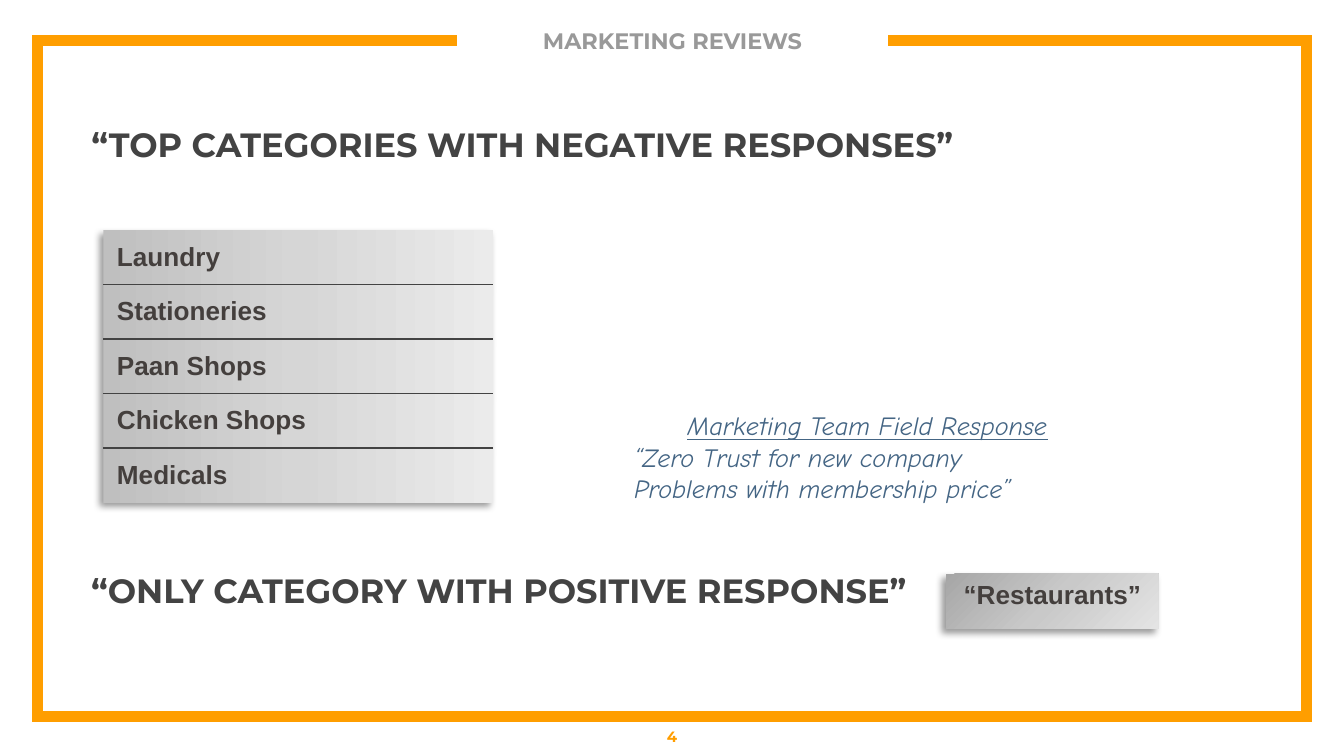
"""Build the marketing reviews slide with its category tables and field response."""
import lxml.etree
import pptx
import pptx.dml.color
import pptx.enum.text
import pptx.oxml
import pptx.oxml.ns
import pptx.util

ALIGN = pptx.enum.text.PP_ALIGN
ANCHOR = pptx.enum.text.MSO_ANCHOR
Inches = pptx.util.Inches

THEME = {
    "frame": "FF9E00",
    "rule": "434343",
    "heading": dict(name="Montserrat", size=18, color="434343", bold=True),
    "title": dict(name="Montserrat", size=12, color="999999", bold=True),
    "number": dict(name="Montserrat", size=8, color="FF9E00", bold=True),
    "cell": dict(name="Arial", size=14, color="443F3D", bold=True),
    "quote": dict(name="Comic Neue", size=14, color="446584", bold=False, italic=True),
}
WIDTH = 10
HEIGHT = WIDTH * 9 / 16
TITLE = "MARKETING REVIEWS"
NEGATIVE = "“TOP CATEGORIES WITH NEGATIVE RESPONSES”"
POSITIVE = "“ONLY CATEGORY WITH POSITIVE RESPONSE”"
RESPONSE = ["Marketing Team Field Response", "“Zero Trust for new company",
            "Problems with membership price”"]
FRAME = [(3.4, 0.3), (0.28, 0.3), (0.28, 5.33), (9.72, 5.33), (9.72, 0.3), (6.61, 0.3)]
TABLES = [
    dict(rows=["Laundry", "Stationeries", "Paan Shops", "Chicken Shops", "Medicals"],
         box=(0.77, 1.71, 2.9, 2.03), stops=["BFBFBF", "D6D6D6", "EBEBEB"], angle=0,
         align=ALIGN.LEFT, anchor=ANCHOR.MIDDLE),
    dict(rows=["“Restaurants”"], box=(7.04, 4.27, 1.58, 0.41),
         stops=["A6A6A6", "C9C9C9", "E4E4E4"], angle=45,
         align=ALIGN.CENTER, anchor=ANCHOR.TOP),
]


def rgb(value):
    """Return a colour from its hex form."""
    return pptx.dml.color.RGBColor.from_string(value)


def xml(body):
    """Parse a DrawingML fragment."""
    head, tail = body.split(" ", 1)
    return pptx.oxml.parse_xml(f"{head} {pptx.oxml.ns.nsdecls('a')} {tail}")


def write(tf, lines, style, align=ALIGN.LEFT, before=0):
    """Fill a text frame with one styled paragraph per line."""
    for i, line in enumerate(lines):
        p = tf.paragraphs[0] if i == 0 else tf.add_paragraph()
        p.alignment, p.space_before = align, pptx.util.Pt(before)
        r = p.add_run()
        r.text = line
        for key, value in style.items():
            if key == "color":
                r.font.color.rgb = rgb(value)
            else:
                setattr(r.font, key, pptx.util.Pt(value) if key == "size" else value)


def setup(sp, box, inset=(0.1, 0.1), anchor=ANCHOR.TOP):
    """Place a text shape and return its text frame."""
    for key, value in zip(("left", "top", "width", "height"), box):
        setattr(sp, key, Inches(value))
    tf = sp.text_frame
    x, y = map(Inches, inset)
    form = dict(word_wrap=True, auto_size=pptx.enum.text.MSO_AUTO_SIZE.NONE,
                vertical_anchor=anchor, margin_left=x, margin_right=x,
                margin_top=y, margin_bottom=y)
    for key, value in form.items():
        setattr(tf, key, value)
    return tf


def add_frame(slide):
    """Draw the open border."""
    points = [(Inches(x), Inches(y)) for x, y in FRAME]
    builder = slide.shapes.build_freeform(*points[0])
    builder.add_line_segments(points[1:], close=False)
    sp = builder.convert_to_shape()
    sp.shadow.inherit = False
    sp.fill.background()
    sp.line.color.rgb = rgb(THEME["frame"])
    sp.line.width = pptx.util.Pt(6)
    sp.line._get_or_add_ln().append(xml('<a:miter lim="800000"/>'))


def add_table(slide, rows, box, stops, angle, align, anchor):
    """Add a one-column table with gradient cells, inner rules and a shadow."""
    table = slide.shapes.add_table(len(rows), 1, *map(Inches, box)).table
    table.first_row = table.horz_banding = False
    pr = table._tbl.tblPr
    pr.find(pptx.oxml.ns.qn("a:tableStyleId")).text = "{2D5ABB26-0587-4C30-8999-92F81FD0307C}"
    pr.insert(0, xml(
        '<a:effectLst ><a:outerShdw blurRad="50800" dist="38100" dir="8100000" algn="tr" '
        'rotWithShape="0"><a:srgbClr val="000000"><a:alpha val="40000"/></a:srgbClr>'
        '</a:outerShdw></a:effectLst>'))
    colours = "".join(f'<a:gs pos="{i * 50000}"><a:srgbClr val="{c}"/></a:gs>'
                      for i, c in enumerate(stops))
    for i, text in enumerate(rows):
        cell = table.cell(i, 0)
        cell.vertical_anchor = anchor
        write(cell.text_frame, [text], THEME["cell"], align)
        tc_pr = cell._tc.get_or_add_tcPr()
        for side, inner in (("lnT", i > 0), ("lnB", i < len(rows) - 1)):
            if inner:
                tc_pr.append(xml(f'<a:{side} w="12700"><a:solidFill><a:srgbClr '
                                 f'val="{THEME["rule"]}"/></a:solidFill></a:{side}>'))
        tc_pr.append(xml(f'<a:gradFill rotWithShape="1"><a:gsLst>{colours}</a:gsLst>'
                         f'<a:lin ang="{angle * 60000}" scaled="0"/></a:gradFill>'))


def main():
    """Assemble and save the slide."""
    prs = pptx.Presentation()
    prs.slide_width, prs.slide_height = Inches(WIDTH), Inches(HEIGHT)
    slide = prs.slides.add_slide(prs.slide_layouts[1])
    add_frame(slide)

    def textbox():
        return slide.shapes.add_textbox(0, 0, 0, 0)

    title, body = slide.shapes.title, slide.placeholders[1]
    write(setup(title, (3.55, 0.11, 2.91, 0.39), (0, 0), ANCHOR.MIDDLE),
          [TITLE], THEME["title"], ALIGN.CENTER)
    for sp, top, width, text in ((body, 0.82, 6.91, NEGATIVE), (textbox(), 4.14, 6.5, POSITIVE)):
        write(setup(sp, (0.58, top, width, 0.66)), [text], THEME["heading"], before=6)
    p_pr = body.text_frame.paragraphs[0]._p.get_or_add_pPr()
    p_pr.set("marL", "0")
    p_pr.set("indent", "0")
    lxml.etree.SubElement(p_pr, pptx.oxml.ns.qn("a:buNone"))
    write(setup(textbox(), (0, 5.33, WIDTH, 0.3), anchor=ANCHOR.MIDDLE),
          ["4"], THEME["number"], ALIGN.CENTER)

    for table in TABLES:
        add_table(slide, **table)

    tf = setup(textbox(), (4.62, 3, 3.67, 0.81), (0.1, 0.05))
    write(tf, RESPONSE, THEME["quote"])
    p = tf.paragraphs[0]
    p.alignment = ALIGN.CENTER
    p.runs[0].font.underline = True
    prs.save("out.pptx")


if __name__ == "__main__":
    main()
